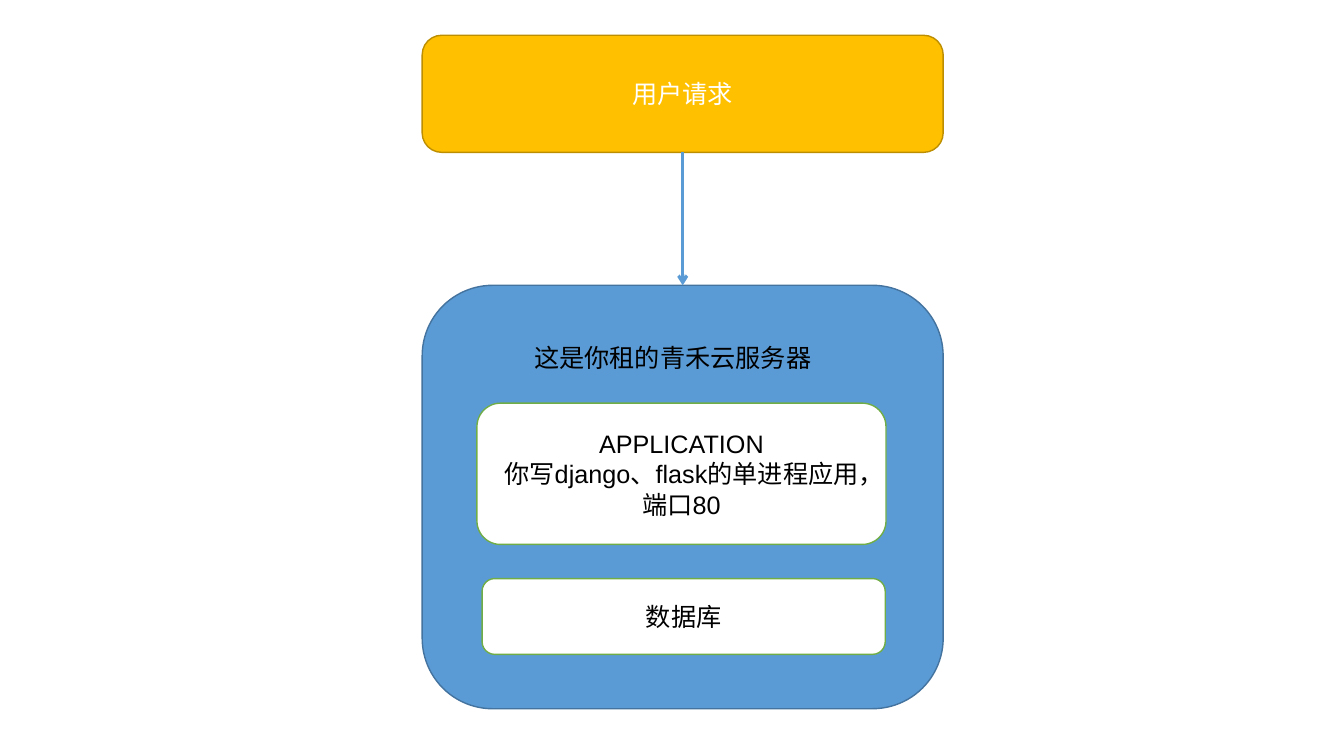
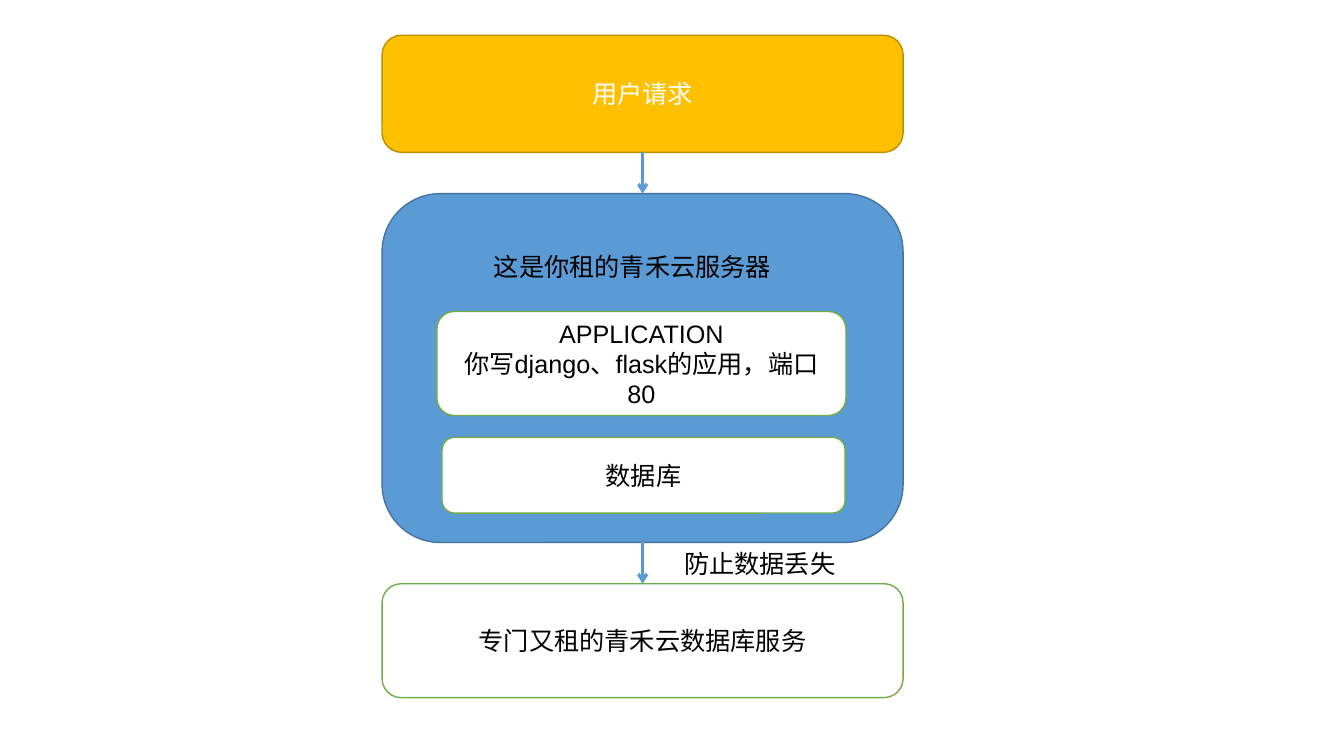
"""Build two slides on a single-server web deployment and its separate database."""
import pptx
import pptx.util
import pptx.dml.color
import pptx.enum.shapes
import pptx.enum.text
import pptx.oxml
import pptx.oxml.ns
import lxml.etree

Cm = pptx.util.Cm
Pt = pptx.util.Pt
Color = pptx.dml.color.RGBColor
Kind = pptx.enum.shapes
Text = pptx.enum.text
qn = pptx.oxml.ns.qn

WHITE = Color(0xFF, 0xFF, 0xFF)
BLACK = Color(0x00, 0x00, 0x00)
BLUE = Color(0x5B, 0x9B, 0xD5)
NAVY = Color(0x43, 0x73, 0x9E)
GOLD = Color(0xFF, 0xC0, 0x00)
BROWN = Color(0xBD, 0x8E, 0x00)
GREEN = Color(0x70, 0xAD, 0x47)
FONT = "Arial"
WIDE = 13.13


def add_box(slide, area, text, fill=WHITE, edge=GREEN, ink=BLACK):
    box = slide.shapes.add_shape(Kind.MSO_SHAPE.ROUNDED_RECTANGLE, *map(Cm, area))
    box.shadow.inherit = False
    box.fill.solid()
    box.fill.fore_color.rgb = fill
    box.line.color.rgb = edge
    box.line.width = Pt(1)
    frame = box.text_frame
    frame.text = text
    frame.vertical_anchor = Text.MSO_ANCHOR.MIDDLE
    for para in frame.paragraphs:
        para.alignment = Text.PP_ALIGN.CENTER
        para.font.name = FONT
        para.font.size = Pt(18)
        para.font.color.rgb = ink
    return box


deck = pptx.Presentation()
deck.slide_width = Cm(33.87)
deck.slide_height = Cm(19.05)

plans = [
    {"left": 10.64, "top": 7.19, "tall": 10.67, "app": 3.56, "gap": 0.86,
     "task": "你写django、flask的单进程应用，端口80", "store": False},
    {"left": 9.63, "top": 4.88, "tall": 8.79, "app": 2.62, "gap": 0.55,
     "task": "你写django、flask的应用，端口80", "store": True},
]

for plan in plans:
    slide = deck.slides.add_slide(deck.slide_layouts[6])
    left, top, tall = plan["left"], plan["top"], plan["tall"]
    level = top + 2.97
    below = level + plan["app"] + plan["gap"]

    server = add_box(slide, (left, top, WIDE, tall), "", BLUE, NAVY)
    add_box(slide, (left + 1.38, level, 10.31, plan["app"]),
            "APPLICATION\n" + plan["task"])
    add_box(slide, (left + 1.51, below, 10.16, 1.91), "数据库")
    user = add_box(slide, (left, 0.89, WIDE, 2.95), "用户请求", GOLD, BROWN, WHITE)

    links = [(user, server)]
    notes = [("这是你租的青禾云服务器", left + 2.57, top + 1.32, 8.23, True)]
    if plan["store"]:
        store = add_box(slide, (left, 14.71, WIDE, 2.87), "专门又租的青禾云数据库服务")
        links.append((server, store))
        notes.append(("防止数据丢失", left + 7.36, 13.69, 4.32, False))

    for start, end in links:
        arrow = slide.shapes.add_connector(Kind.MSO_CONNECTOR.STRAIGHT, 0, 0, 0, 0)
        arrow.begin_connect(start, 2)
        arrow.end_connect(end, 0)
        arrow.line.color.rgb = BLUE
        arrow.line.width = Pt(2.25)
        props = arrow.element.spPr
        lxml.etree.SubElement(props.find(qn("a:ln")), qn("a:tailEnd"), type="arrow")
        lxml.etree.SubElement(props, qn("a:effectLst"))

    for words, x, y, width, wrap in notes:
        frame = slide.shapes.add_textbox(Cm(x), Cm(y), Cm(width), Cm(1.02)).text_frame
        frame.word_wrap = wrap
        frame.auto_size = Text.MSO_AUTO_SIZE.SHAPE_TO_FIT_TEXT
        frame.text = words
        para = frame.paragraphs[0]
        para.font.name = FONT
        para.font.size = Pt(18)
        para.font.color.rgb = BLACK

deck.save("out.pptx")
